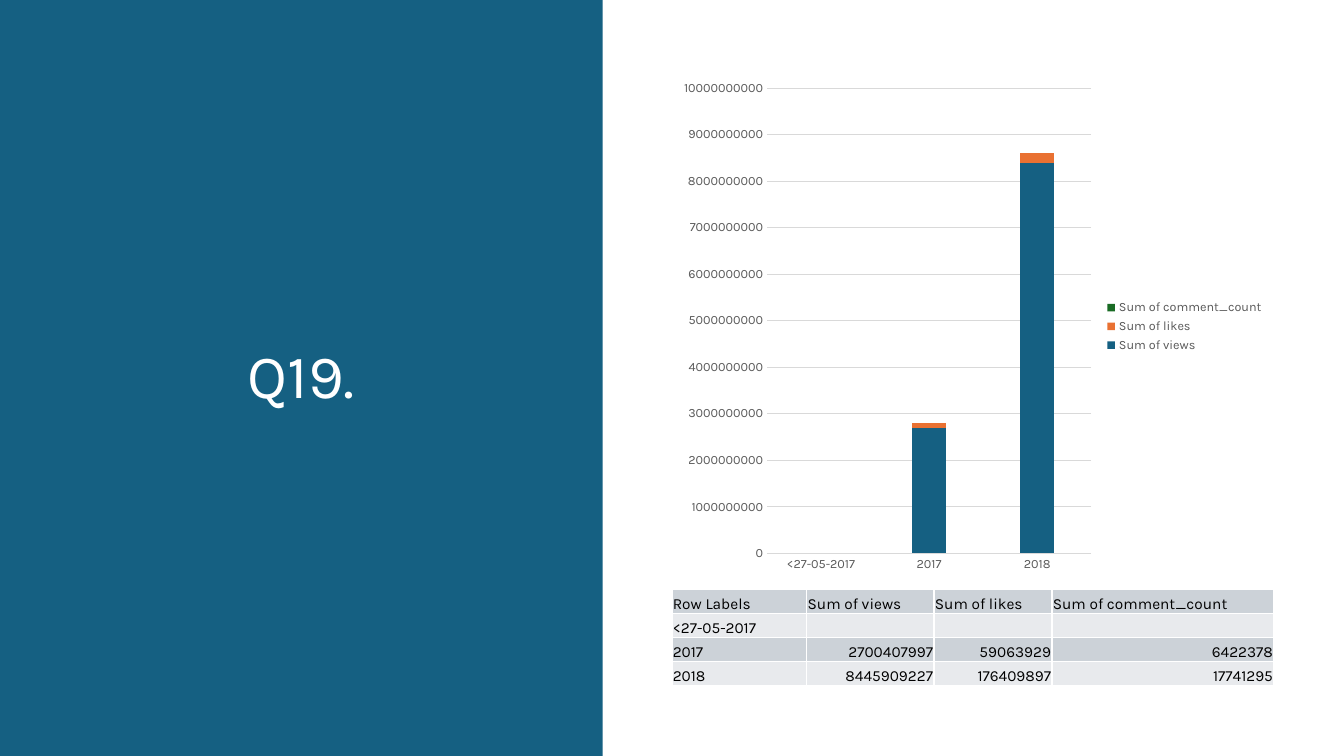
from lxml.etree import SubElement
from pptx import Presentation
from pptx.chart.data import CategoryChartData
from pptx.dml.color import RGBColor
from pptx.enum.chart import XL_CHART_TYPE, XL_LEGEND_POSITION, XL_TICK_MARK
from pptx.enum.shapes import MSO_SHAPE
from pptx.enum.text import MSO_ANCHOR, PP_ALIGN
from pptx.oxml.ns import qn
from pptx.util import Pt

FONT = "Karla"
BLUE, ORANGE, GREEN = "156082", "E97132", "196B24"
CONTENT_LEFT, CONTENT_WIDTH = Pt(480), Pt(430)

HEADERS = ["Row Labels", "Sum of views", "Sum of likes", "Sum of comment_count"]
YEARS = [
    ("<27-05-2017", None, None, None),
    ("2017", 2700407997, 59063929, 6422378),
    ("2018", 8445909227, 176409897, 17741295),
]


def color(hex_string):
    return RGBColor.from_string(hex_string)


def style_font(font, size, hex_string):
    font.name = FONT
    font.size = Pt(size)
    font.bold = False
    font.color.rgb = color(hex_string)


presentation = Presentation()
presentation.slide_width = Pt(960)
presentation.slide_height = Pt(540)
slide = presentation.slides.add_slide(presentation.slide_layouts[5])

# Title on its blue panel
panel = slide.shapes.add_shape(MSO_SHAPE.RECTANGLE, 0, 0, Pt(430.5), Pt(540))
panel.shadow.inherit = False
panel.fill.solid()
panel.fill.fore_color.rgb = color(BLUE)
panel.line.fill.background()

title = slide.shapes.title
title._element.addprevious(panel._element)
title.left, title.top, title.width, title.height = Pt(49), Pt(50.7), Pt(332.6), Pt(439.2)
title.text_frame.vertical_anchor = MSO_ANCHOR.MIDDLE
paragraph = title.text_frame.paragraphs[0]
paragraph.alignment = PP_ALIGN.CENTER
paragraph.line_spacing = 0.9
run = paragraph.add_run()
run.text = "Q19."
style_font(run.font, 44, "FFFFFF")

# Stacked columns per year, rounded to the nearest hundred million
labels, *columns = zip(*YEARS)
chart_data = CategoryChartData(number_format="General")
chart_data.categories = labels
for name, values in zip(HEADERS[1:], columns):
    chart_data.add_series(name, [None if value is None else round(value, -8) for value in values])

chart = slide.shapes.add_chart(
    XL_CHART_TYPE.COLUMN_STACKED, CONTENT_LEFT, Pt(50.4), CONTENT_WIDTH, Pt(365.5), chart_data
).chart
chart.has_title = False
style_font(chart.font, 10, "000000")
chart.has_legend = True
chart.legend.position = XL_LEGEND_POSITION.RIGHT
chart.legend.include_in_layout = False
style_font(chart.legend.font, 9, "595959")

plot = chart.plots[0]
plot.gap_width = 219
plot.overlap = 100
plot.vary_by_categories = False
for series, fill in zip(plot.series, (BLUE, ORANGE, GREEN)):
    series.format.fill.solid()
    series.format.fill.fore_color.rgb = color(fill)

for axis in (chart.category_axis, chart.value_axis):
    axis.major_tick_mark = XL_TICK_MARK.NONE
    axis.minor_tick_mark = XL_TICK_MARK.NONE
    style_font(axis.tick_labels.font, 9, "595959")
chart.value_axis.format.line.fill.background()
chart.value_axis.has_major_gridlines = True
for line in (chart.category_axis.format.line, chart.value_axis.major_gridlines.format.line):
    line.color.rgb = color("D9D9D9")
    line.width = Pt(0.75)

# Table of the exact totals
table = slide.shapes.add_table(
    len(YEARS) + 1, len(HEADERS), CONTENT_LEFT, Pt(421.2), CONTENT_WIDTH, Pt(68.4)
).table
for column, width in zip(table.columns, (96.3, 90.9, 84.3, 158.5)):
    column.width = Pt(width)
for row_index, row_values in enumerate([HEADERS, *YEARS]):
    table.rows[row_index].height = Pt(17.1)
    for column_index, value in enumerate(row_values):
        cell = table.cell(row_index, column_index)
        cell.vertical_anchor = MSO_ANCHOR.BOTTOM
        cell.margin_left = cell.margin_right = cell.margin_top = Pt(0.6)
        cell.margin_bottom = 0
        for side in ("a:lnL", "a:lnR", "a:lnT", "a:lnB"):
            border = SubElement(cell._tc.get_or_add_tcPr(), qn(side), w=str(Pt(1)))
            border_fill = SubElement(border, qn("a:solidFill"))
            SubElement(border_fill, qn("a:srgbClr"), val="FFFFFF")
        cell.fill.solid()
        cell.fill.fore_color.rgb = color("E8EAED" if row_index % 2 else "CCD2D8")
        paragraph = cell.text_frame.paragraphs[0]
        if value is None:
            # Keeps an empty cell from stretching its row
            SubElement(paragraph._p, qn("a:endParaRPr"), sz="1100")
            continue
        if isinstance(value, int):
            paragraph.alignment = PP_ALIGN.RIGHT
        run = paragraph.add_run()
        run.text = str(value)
        style_font(run.font, 11, "000000")

presentation.save("out.pptx")
